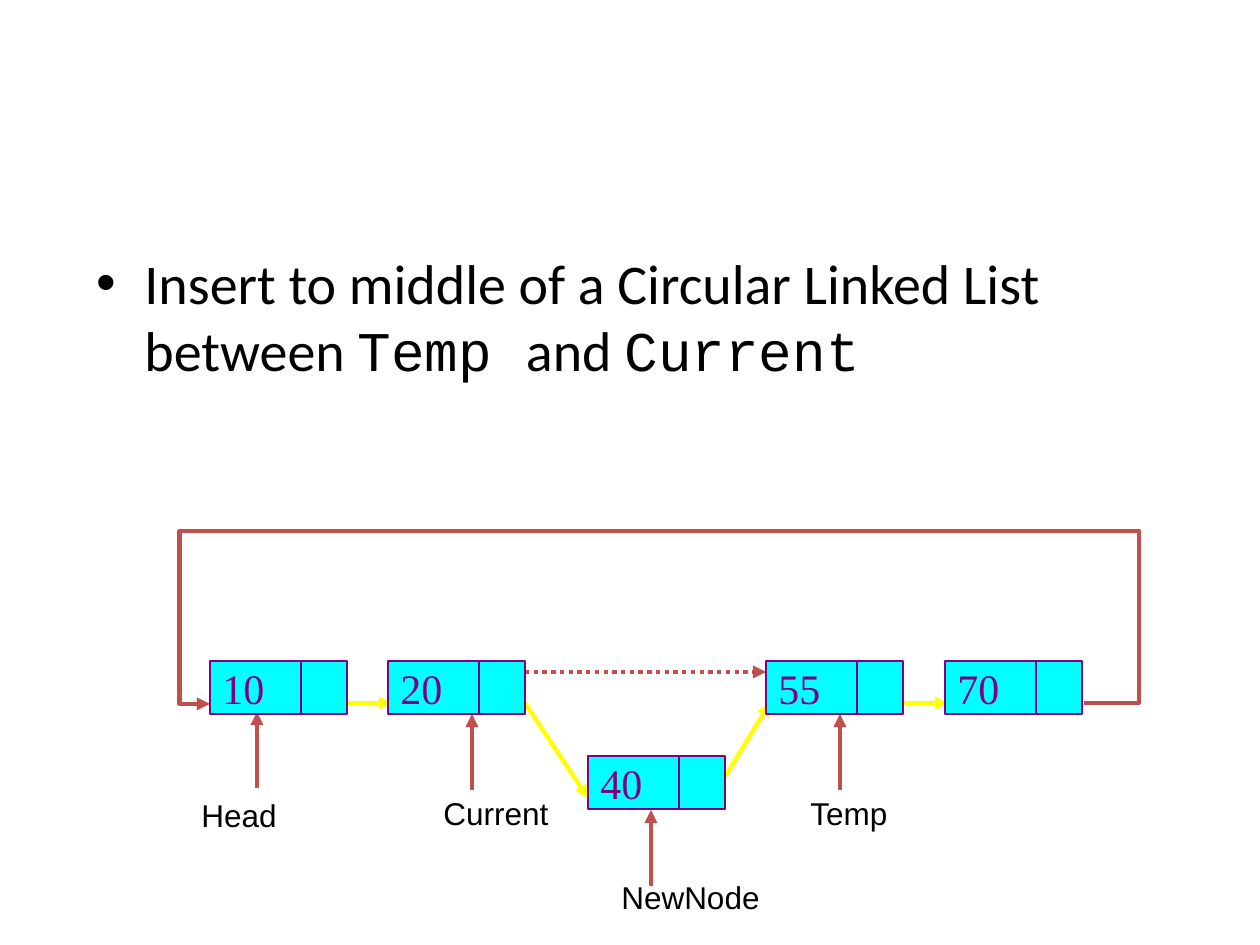
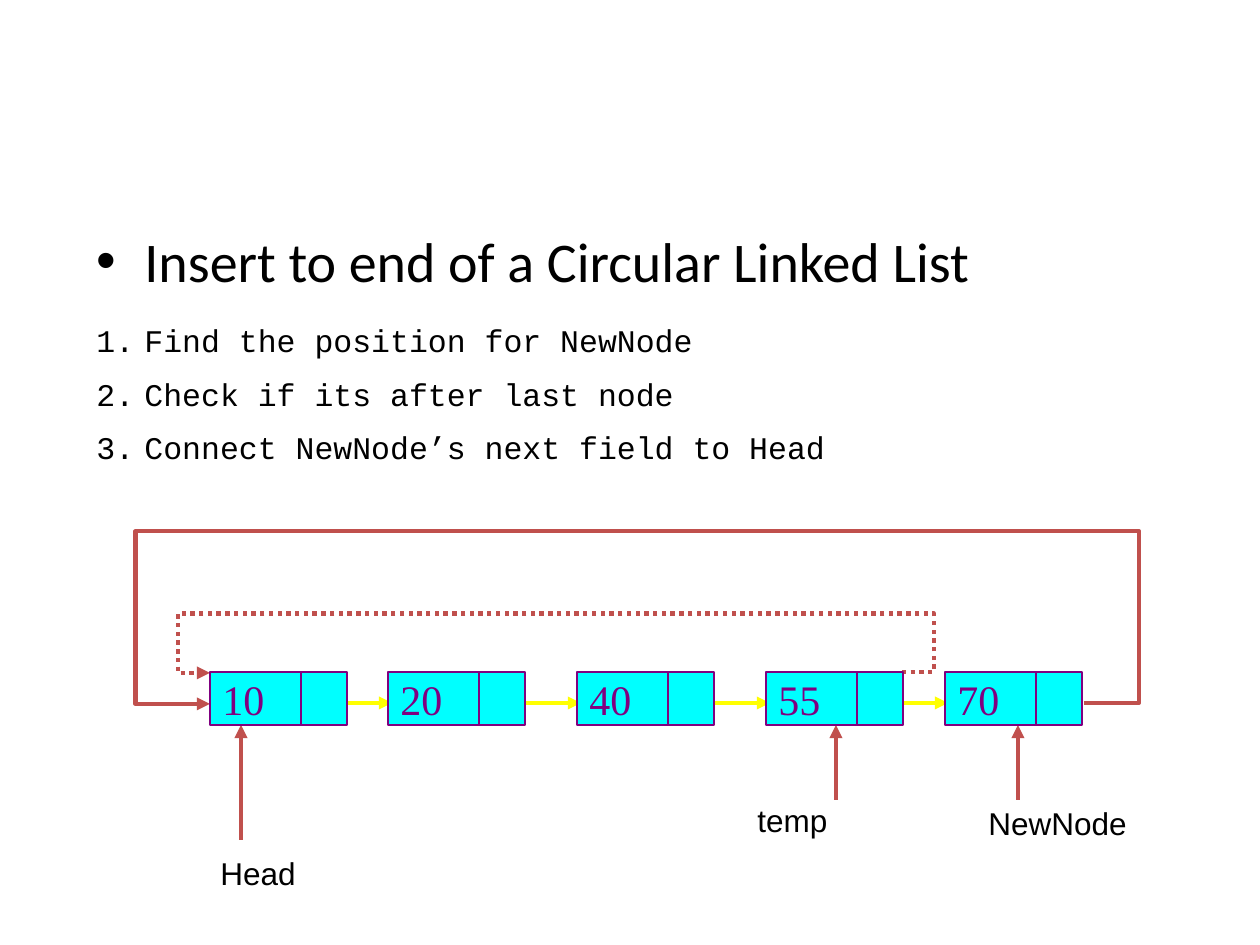
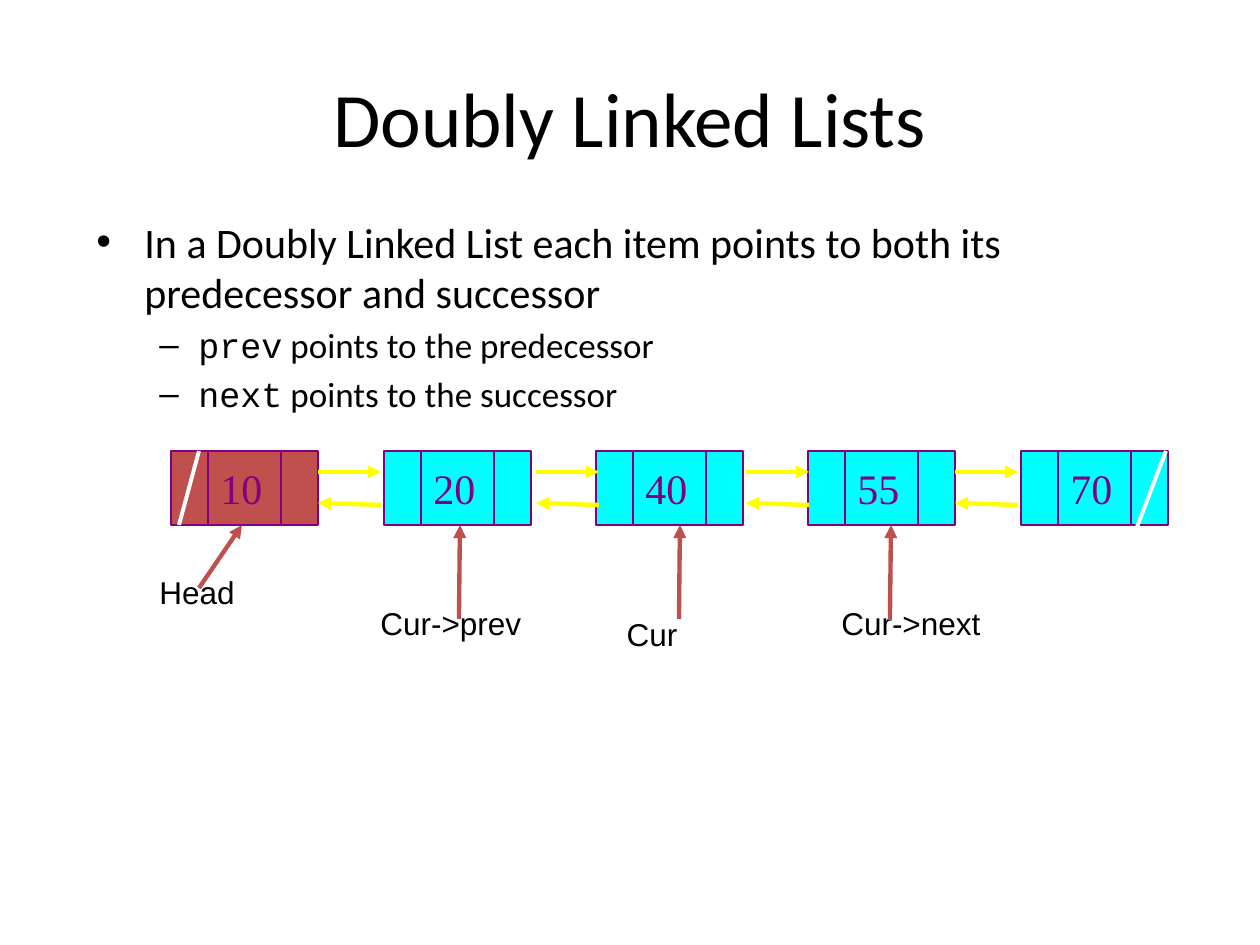
import pptx
import pptx.util
import pptx.dml.color
import pptx.enum.dml
import pptx.enum.shapes
import pptx.enum.text
import pptx.oxml
import pptx.oxml.ns

# Shared style
SCALE = 914400 // 126  # EMU in one pixel
COLORS = {"text": "000000", "accent": "C0504D", "link": "FFFF00",
          "node": "00FFFF", "outline": "800080", "white": "FFFFFF"}
SANS, MONO, LABEL, SERIF = "Calibri", "Courier New", "Arial", "Times New Roman"
ALIGN = pptx.enum.text.PP_ALIGN
# Bullet style: left margin, hanging indent, bullet element
DISC = (48, 48, '<a:buChar {} char="\u2022"/>')
DASH = (102, 39, '<a:buChar {} char="\u2013"/>')
NUMBER = (48, 48, '<a:buAutoNum {} type="arabicPeriod"/>')
SINGLE_CELLS, DOUBLE_CELLS = (91, 46), (37, 73, 37)

# Content: paragraphs are (runs, size, bullet, space before in percent);
# labels are (text, left, top, width, wraps); lines are (x1, y1, x2, y2);
# loops are (start x, start y, right, top, left, end x, dotted)
SLIDES = [
    {
        "texts": [((84, 242, 1081, 598), [
            ([("Insert to middle of a Circular Linked List between ", SANS),
              ("Temp ", MONO), ("and ", SANS), ("Current", MONO)], 32, DISC, 20)])],
        "links": [(336, 703, 392, 703), (525, 703, 588, 798),
                  (725, 777, 770, 703), (892, 703, 948, 703)],
        "pointers": [(472, 790, 472, 714), (651, 886, 651, 810),
                     (257, 788, 257, 712), (840, 790, 840, 714)],
        "dotted": [(525, 672, 766, 672)],
        "loops": [(1084, 703, 1139, 530, 179, 210, False)],
        "labels": [("Current", 431, 788, 131, False), ("NewNode", 609, 872, 165, False),
                   ("Head", 189, 790, 158, True), ("Temp", 798, 788, 158, True)],
        "nodes": [("10", 210, 661), ("20", 388, 661), ("40", 588, 756),
                  ("55", 766, 661), ("70", 945, 661)],
    },
    {
        "texts": [
            ((84, 220, 1081, 598), [
                ([("Insert to end of a Circular Linked List", SANS)], 32, DISC, 20)]),
            ((84, 315, 1155, 165), [
                ([(step, MONO)], 18, NUMBER, 50) for step in (
                    "Find the position for NewNode",
                    "Check if its after last node",
                    "Connect NewNode\u2019s next field to Head")]),
        ],
        "links": [(x, 703, x + 56, 703) for x in (336, 525, 714, 892)],
        "pointers": [(241, 840, 241, 725), (1018, 800, 1018, 725), (836, 800, 836, 725)],
        "dotted": [],
        "loops": [(1084, 703, 1139, 530, 136, 210, False),
                  (902, 672, 934, 613, 178, 210, True)],
        "labels": [("Head", 208, 848, 102, False), ("NewNode", 976, 798, 165, False),
                   ("temp", 745, 795, 96, False)],
        "nodes": [("10", 210, 672), ("20", 388, 672), ("40", 577, 672),
                  ("55", 766, 672), ("70", 945, 672)],
    },
]
DOUBLY = {
    "title": "Doubly Linked Lists",
    "body": [
        ([("In a Doubly Linked List each item points to both its "
           "predecessor and successor", SANS)], 24, DISC, 20),
        ([("prev", MONO), (" points to the predecessor", SANS)], 20, DASH, 20),
        ([("next", MONO), (" points to the successor", SANS)], 20, DASH, 20)],
    "values": ["10", "20", "40", "55", "70"],
    "link starts": [318, 536, 746, 955],
    "pointers": [(199, 588, 242, 525), (459, 619, 460, 525),
                 (679, 619, 680, 525), (890, 620, 891, 525)],
    "null marks": [(199, 451, 179, 525), (1166, 451, 1134, 535)],
    "labels": [("Head", 147, 567, 102, False), ("Cur ", 494, 609, 325, True),
               ("Cur->next", 829, 598, 174, False), ("Cur->prev", 368, 598, 175, False)],
}


def px(*values):
    return [pptx.util.Emu(round(value * SCALE)) for value in values]


def color(name):
    return pptx.dml.color.RGBColor.from_string(COLORS[name])


def append_xml(parent, xml):
    parent.append(pptx.oxml.parse_xml(xml.format(pptx.oxml.ns.nsdecls("a"))))


def set_font(font, name, size, color_name):
    font.name, font.size = name, pptx.util.Pt(size)
    font.color.rgb = color(color_name)


def add_text(slide, box, paragraphs, wrap=True, grow=False, align=None, middle=False):
    shape = slide.shapes.add_textbox(*px(*box))
    frame = shape.text_frame
    frame.word_wrap = wrap
    if grow:
        frame.auto_size = pptx.enum.text.MSO_AUTO_SIZE.SHAPE_TO_FIT_TEXT
    if middle:
        frame.vertical_anchor = pptx.enum.text.MSO_ANCHOR.MIDDLE
    for index, (runs, size, bullet, space) in enumerate(paragraphs):
        paragraph = frame.add_paragraph() if index else frame.paragraphs[0]
        if align is not None:
            paragraph.alignment = align
        properties = paragraph._p.get_or_add_pPr()
        if space:
            append_xml(properties, '<a:spcBef {}><a:spcPct val="%d"/></a:spcBef>'
                       % (space * 1000))
        if bullet:
            margin, hanging, bullet_xml = bullet
            properties.set("marL", str(margin * SCALE))
            properties.set("indent", str(-hanging * SCALE))
            if bullet is not NUMBER:
                append_xml(properties, '<a:buFont {} typeface="Arial"/>')
            append_xml(properties, bullet_xml)
        set_font(paragraph.font, runs[0][1], size, "text")
        for text, name in runs:
            run = paragraph.add_run()
            run.text = text
            if len(runs) > 1:
                run.font.name = name


def add_labels(slide, labels):
    for text, left, top, width, wrap in labels:
        add_text(slide, (left, top, width, 50), [([(text, LABEL)], 18, None, 20)],
                 wrap, True, ALIGN.CENTER if text == "Cur " else None)


def add_line(slide, ends, color_name, width=2.5, dotted=False, arrow=True, bends=None):
    kinds = pptx.enum.shapes.MSO_CONNECTOR
    kind = kinds.ELBOW if bends else kinds.STRAIGHT
    connector = slide.shapes.add_connector(kind, *px(*ends))
    connector.line.color.rgb = color(color_name)
    connector.line.width = pptx.util.Pt(width)
    if dotted:
        connector.line.dash_style = pptx.enum.dml.MSO_LINE.ROUND_DOT
    properties = connector._element.spPr
    if arrow:
        append_xml(properties.find(pptx.oxml.ns.qn("a:ln")),
                   '<a:tailEnd {} type="triangle"/>')
    if bends:
        geometry = properties.find(pptx.oxml.ns.qn("a:prstGeom"))
        geometry.set("prst", "bentConnector5")
        for guide in list(geometry):
            geometry.remove(guide)
        guides = "".join('<a:gd name="adj%d" fmla="val %d"/>' % (number, bend * 100000)
                         for number, bend in enumerate(bends, 1))
        append_xml(geometry, "<a:avLst {}>" + guides + "</a:avLst>")
    append_xml(properties, "<a:effectLst {}/>")


def add_loop(slide, start, y, right, top, left, end, dotted):
    # Bends are fractions of the connector's box, which is one pixel high
    width = start - end
    bends = ((start - right) / width, top - y, (start - left) / width)
    add_line(slide, (start, y, end, y + 1), "accent", dotted=dotted, bends=bends)


def add_node(slide, value, left, top, height, cells, value_cell, fill="node"):
    for index, width in enumerate(cells):
        shape = slide.shapes.add_shape(pptx.enum.shapes.MSO_SHAPE.RECTANGLE,
                                       *px(left, top, width, height))
        shape.shadow.inherit = False
        shape.fill.solid()
        shape.fill.fore_color.rgb = color(fill)
        shape.line.color.rgb = color("outline")
        shape.line.width = pptx.util.Pt(1)
        if index == value_cell:
            frame = shape.text_frame
            frame.word_wrap = False
            frame.vertical_anchor = pptx.enum.text.MSO_ANCHOR.MIDDLE
            paragraph = frame.paragraphs[0]
            paragraph.text, paragraph.alignment = value, ALIGN.LEFT
            set_font(paragraph.font, SERIF, 24, "outline")
        left += width


presentation = pptx.Presentation()
presentation.slide_width, presentation.slide_height = px(1260, 945)
blank = presentation.slide_layouts[6]

# Circular lists
for content in SLIDES:
    slide = presentation.slides.add_slide(blank)
    for box, paragraphs in content["texts"]:
        add_text(slide, box, paragraphs)
    for ends in content["links"]:
        add_line(slide, ends, "link")
    for ends in content["pointers"]:
        add_line(slide, ends, "accent")
    for ends in content["dotted"]:
        add_line(slide, ends, "accent", dotted=True)
    for loop in content["loops"]:
        add_loop(slide, *loop)
    add_labels(slide, content["labels"])
    for value, left, top in content["nodes"]:
        add_node(slide, value, left, top, 53, SINGLE_CELLS, 0)

# Doubly linked list
slide = presentation.slides.add_slide(blank)
add_text(slide, (63, 38, 1134, 157), [([(DOUBLY["title"], SANS)], 44, None, 0)],
         align=ALIGN.CENTER, middle=True)
add_text(slide, (84, 210, 1081, 567), DOUBLY["body"])
for index, value in enumerate(DOUBLY["values"]):
    add_node(slide, value, round(171 + 212.5 * index), 451, 74, DOUBLE_CELLS, 1,
             "node" if index else "accent")
for left in DOUBLY["link starts"]:
    add_line(slide, (left, 472, left + 63, 472), "link")
    add_line(slide, (left + 63, 505, left, 503), "link")
add_labels(slide, DOUBLY["labels"])
for ends in DOUBLY["pointers"]:
    add_line(slide, ends, "accent")
for ends in DOUBLY["null marks"]:
    add_line(slide, ends, "white", 2.25, arrow=False)

presentation.save("out.pptx")
